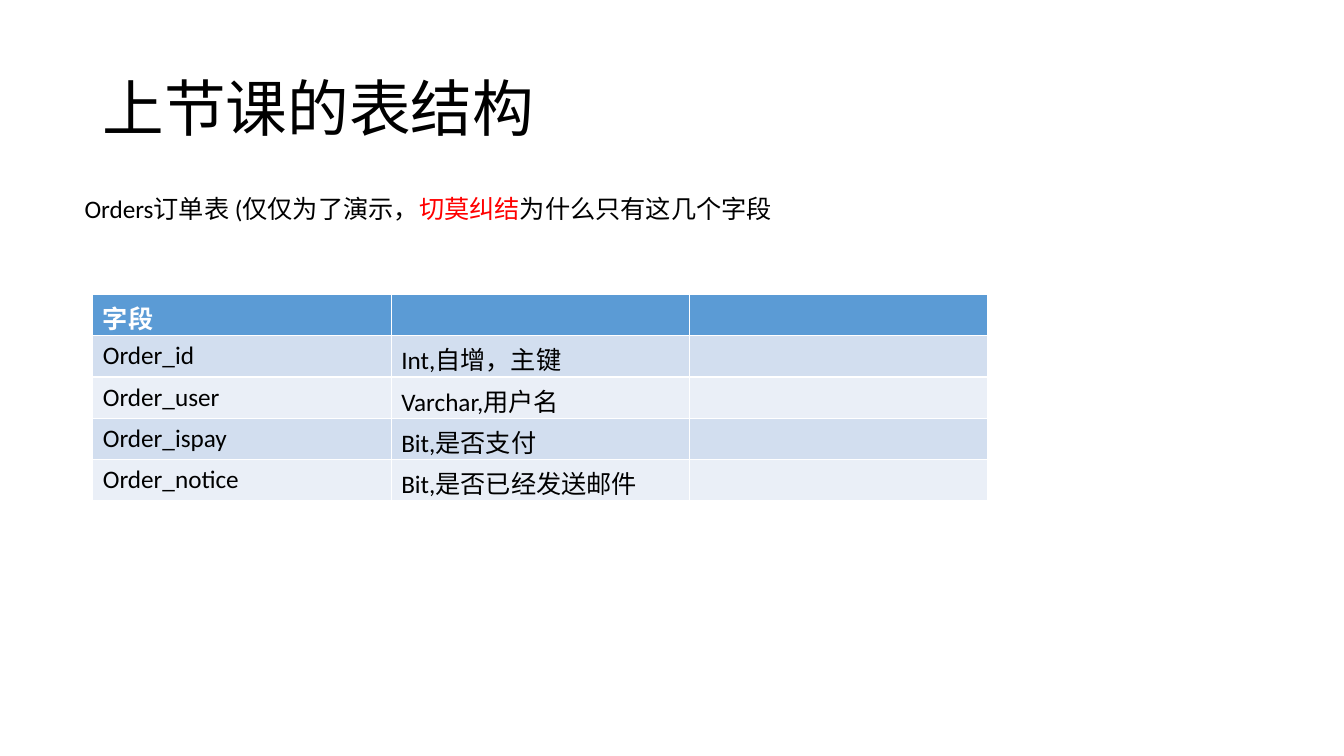
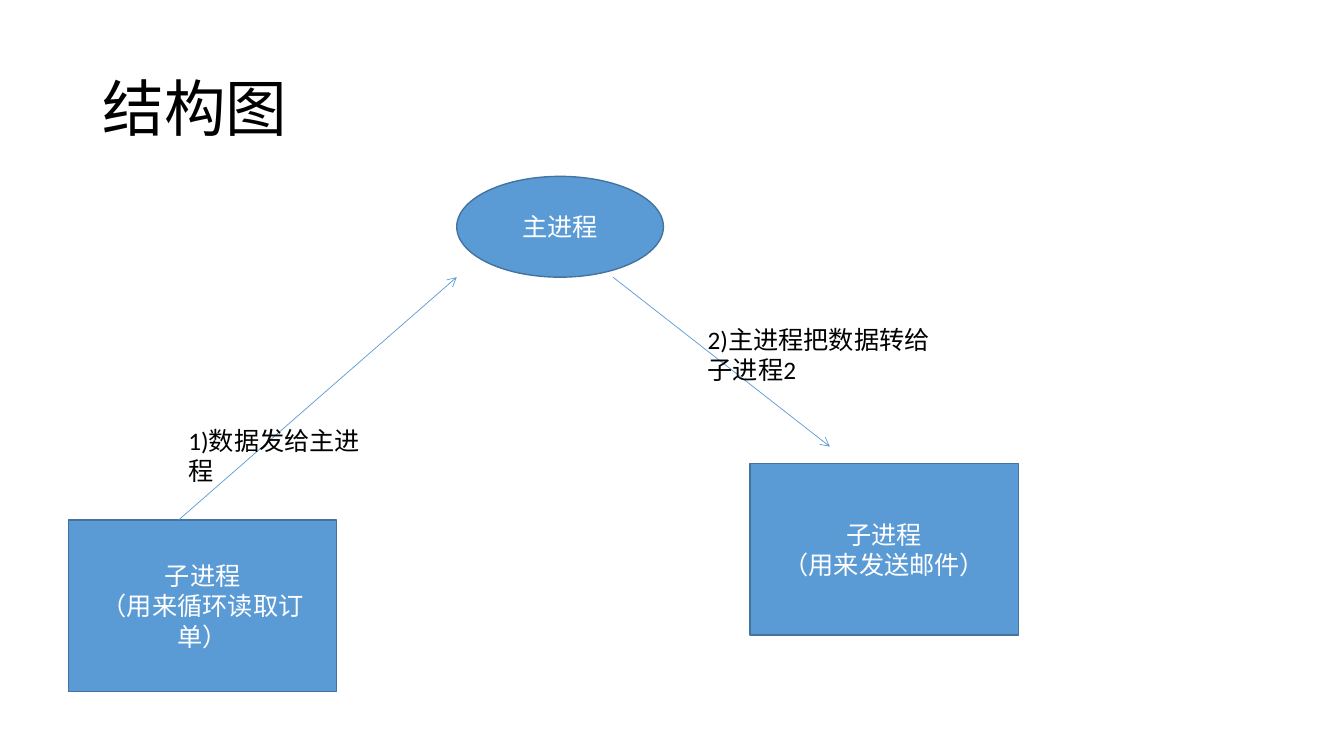
from lxml.etree import SubElement
from pptx import Presentation
from pptx.dml.color import RGBColor
from pptx.enum.shapes import MSO_CONNECTOR, MSO_SHAPE
from pptx.enum.text import MSO_ANCHOR, PP_ALIGN
from pptx.oxml.ns import qn
from pptx.util import Inches, Pt

FONT = "Calibri"
BLACK, WHITE, RED = "000000", "FFFFFF", "FF0000"
BLUE, OUTLINE = "5B9BD5", "43739E"
BANDS = ("D2DEEF", "EAEFF7")


def rgb(value):
    """Turn a hex string into a colour."""
    return RGBColor.from_string(value)


def paint(obj, color):
    """Give a shape or cell a solid fill."""
    obj.fill.solid()
    obj.fill.fore_color.rgb = rgb(color)


def style(p, size=18, color=BLACK, bold=False):
    """Format every run of a paragraph."""
    for r in p.runs:
        r.font.name, r.font.size, r.font.bold = FONT, Pt(size), bold
        r.font.color.rgb = rgb(color)


def add_text(s, box, text, size=18, anchor=MSO_ANCHOR.TOP):
    """Add a wrapped text box and return its paragraph."""
    tf = s.shapes.add_textbox(*map(Inches, box)).text_frame
    tf.word_wrap = True
    tf.vertical_anchor = anchor
    tf.text = text
    p = tf.paragraphs[0]
    style(p, size)
    return p


def add_slide(prs, title):
    """Add a blank slide with the shared title."""
    s = prs.slides.add_slide(prs.slide_layouts[6])
    p = add_text(s, (0.92, 0.38, 11.5, 1.45), title, 44, MSO_ANCHOR.MIDDLE)
    p.line_spacing = 0.9
    return s


def add_fields(s, box, rows):
    """Add a table with a blue header and banded rows."""
    table = s.shapes.add_table(len(rows), 3, *map(Inches, box)).table
    for i, row in enumerate(rows):
        for cell, text in zip(table.rows[i].cells, row):
            cell.text = text
            paint(cell, BANDS[(i - 1) % 2] if i else BLUE)
            style(cell.text_frame.paragraphs[0], color=BLACK if i else WHITE, bold=i == 0)


def add_process(s, kind, box, text):
    """Add a blue process node with centred text."""
    sp = s.shapes.add_shape(kind, *map(Inches, box))
    sp.shadow.inherit = False
    paint(sp, BLUE)
    sp.line.color.rgb = rgb(OUTLINE)
    sp.line.width = Pt(1)
    tf = sp.text_frame
    tf.word_wrap = True
    tf.vertical_anchor = MSO_ANCHOR.MIDDLE
    tf.text = text
    for p in tf.paragraphs:
        p.alignment = PP_ALIGN.CENTER
        style(p, color=WHITE)


def add_arrow(s, start, end):
    """Add a thin arrow between two points."""
    line = s.shapes.add_connector(MSO_CONNECTOR.STRAIGHT, *map(Inches, start + end))
    line.line.color.rgb = rgb(BLUE)
    line.line.width = Pt(0.5)
    SubElement(line.line._get_or_add_ln(), qn("a:tailEnd"), type="arrow")
    SubElement(line._element.spPr, qn("a:effectLst"))


def table_slide(prs):
    """Build the slide on the order table."""
    s = add_slide(prs, "上节课的表结构")
    add_fields(s, (0.92, 2.92, 8.88, 2.05), [
        ("字段", "", ""),
        ("Order_id", "Int,自增，主键", ""),
        ("Order_user", "Varchar,用户名", ""),
        ("Order_ispay", "Bit,是否支付", ""),
        ("Order_notice", "Bit,是否已经发送邮件", ""),
    ])
    p = add_text(s, (0.74, 1.87, 8.86, 0.4), "Orders订单表 (仅仅为了演示，")
    for text in ("切莫纠结", "为什么只有这几个字段"):
        p.add_run().text = text
    style(p)
    p.runs[1].font.color.rgb = rgb(RED)


def diagram_slide(prs):
    """Build the slide on the process structure."""
    s = add_slide(prs, "结构图")
    add_process(s, MSO_SHAPE.OVAL, (4.53, 1.75, 2.05, 1), "主进程")
    for left, top, use in ((0.68, 5.16, "用来循环读取订单"), (7.44, 4.6, "用来发送邮件")):
        add_process(s, MSO_SHAPE.RECTANGLE, (left, top, 2.66, 1.7), f"子进程\n（{use}）")
    add_arrow(s, (6.08, 2.75), (8.23, 4.43))
    add_arrow(s, (1.77, 5.16), (4.53, 2.75))
    add_text(s, (1.77, 4.17, 2.09, 0.71), "1)数据发给主进程")
    add_text(s, (6.92, 3.17, 2.61, 0.71), "2)主进程把数据转给子进程2")


def main():
    """Build and save the presentation."""
    prs = Presentation()
    prs.slide_width, prs.slide_height = Inches(13.33), Inches(7.5)
    table_slide(prs)
    diagram_slide(prs)
    prs.save("out.pptx")


if __name__ == "__main__":
    main()
